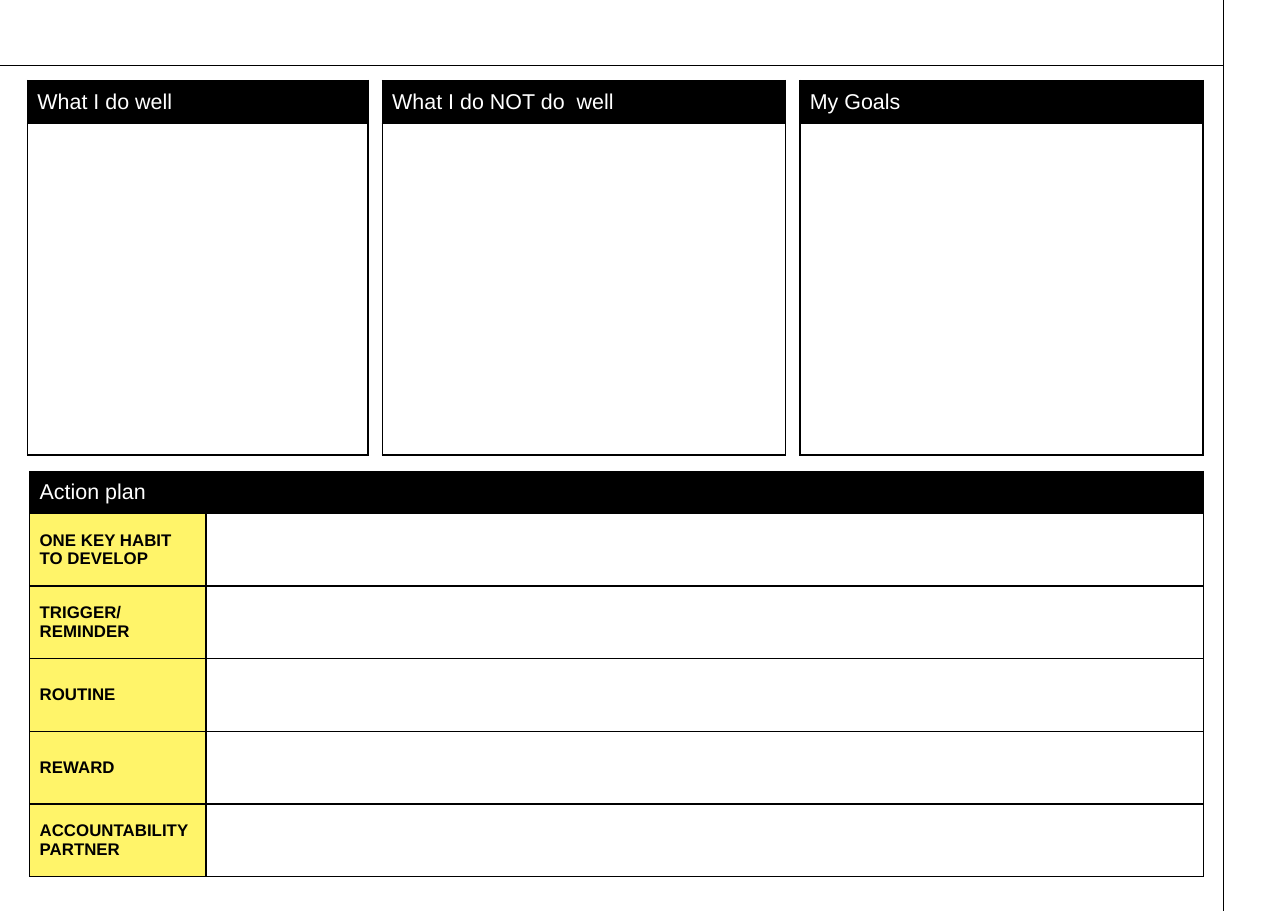
import pptx
import pptx.dml.color
import pptx.enum.shapes
import pptx.enum.text
import pptx.oxml
import pptx.oxml.ns
import pptx.util

Inches = pptx.util.Inches
NAMESPACE = pptx.oxml.ns.nsdecls("a")
BLACK, WHITE, YELLOW = "000000", "FFFFFF", "FFF469"
SLIDE_WIDTH, SLIDE_HEIGHT = 11.69, 8.27
RULE_X, RULE_Y = 11.1, 0.59
PANEL_LEFT, PANEL_TOP, PANEL_GAP = 0.25, 0.73, 0.13
PANEL_ROWS = [0.39, 3.01]
PLAN_LEFT, PLAN_TOP = 0.27, 4.28
PLAN_COLUMNS = [1.6, 9.05]
HEADER_HEIGHT, HABIT_HEIGHT = 0.38, 0.66


def color(hex_value):
    return pptx.dml.color.RGBColor.from_string(hex_value)


def add_grid(slide, left, top, columns, rows, labels, body_fills):
    frame = slide.shapes.add_table(
        len(rows), len(columns), Inches(left), Inches(top),
        Inches(sum(columns)), Inches(sum(rows)))
    table = frame.table
    table.first_row = table.horz_banding = False
    for column, width in zip(table.columns, columns):
        column.width = Inches(width)
    for row, height in zip(table.rows, rows):
        row.height = Inches(height)
    for row_index in range(len(rows)):
        for column_index in range(len(columns)):
            cell = table.cell(row_index, column_index)
            is_header = row_index == 0
            cell.margin_left = cell.margin_right = Inches(0.09)
            cell.margin_top = cell.margin_bottom = Inches(0.05)
            cell.vertical_anchor = pptx.enum.text.MSO_ANCHOR.MIDDLE
            properties = cell._tc.get_or_add_tcPr()
            for side in ("lnL", "lnR", "lnT", "lnB"):
                properties.append(pptx.oxml.parse_xml(
                    f'<a:{side} {NAMESPACE} w="12700"><a:solidFill>'
                    f'<a:srgbClr val="{BLACK}"/></a:solidFill></a:{side}>'))
            cell.fill.solid()
            cell.fill.fore_color.rgb = color(BLACK if is_header else body_fills[column_index])
            if column_index == 0 and row_index < len(labels):
                cell.text_frame.text = labels[row_index]
                for paragraph in cell.text_frame.paragraphs:
                    for run in paragraph.runs:
                        run.font.name = "Arial"
                        run.font.size = pptx.util.Pt(14 if is_header else 11)
                        run.font.bold = not is_header
                        run.font.color.rgb = color(WHITE if is_header else BLACK)
    if len(columns) > 1:
        table.cell(0, 0).merge(table.cell(0, len(columns) - 1))


presentation = pptx.Presentation()
presentation.slide_width = Inches(SLIDE_WIDTH)
presentation.slide_height = Inches(SLIDE_HEIGHT)
slide = presentation.slides.add_slide(presentation.slide_layouts[6])

for ends in [(RULE_X, RULE_Y, 0, RULE_Y), (RULE_X, SLIDE_HEIGHT, RULE_X, 0)]:
    rule = slide.shapes.add_connector(
        pptx.enum.shapes.MSO_CONNECTOR.STRAIGHT, *[Inches(value) for value in ends])
    rule.line.color.rgb = color(BLACK)
    rule.line.width = pptx.util.Pt(0.5)
    rule._element.spPr.append(pptx.oxml.parse_xml(f"<a:effectLst {NAMESPACE}/>"))

panels = [("What I do well", 3.09), ("What I do NOT do  well", 3.66), ("My Goals", 3.66)]
left = PANEL_LEFT
for title, width in panels:
    add_grid(slide, left, PANEL_TOP, [width], PANEL_ROWS, [title], [WHITE])
    left += width + PANEL_GAP

plan_labels = ["Action plan", "ONE KEY HABIT TO DEVELOP", "TRIGGER/\nREMINDER",
               "ROUTINE", "REWARD", "ACCOUNTABILITY PARTNER"]
plan_rows = [HEADER_HEIGHT] + [HABIT_HEIGHT] * (len(plan_labels) - 1)
add_grid(slide, PLAN_LEFT, PLAN_TOP, PLAN_COLUMNS, plan_rows, plan_labels, [YELLOW, WHITE])

presentation.save("out.pptx")
